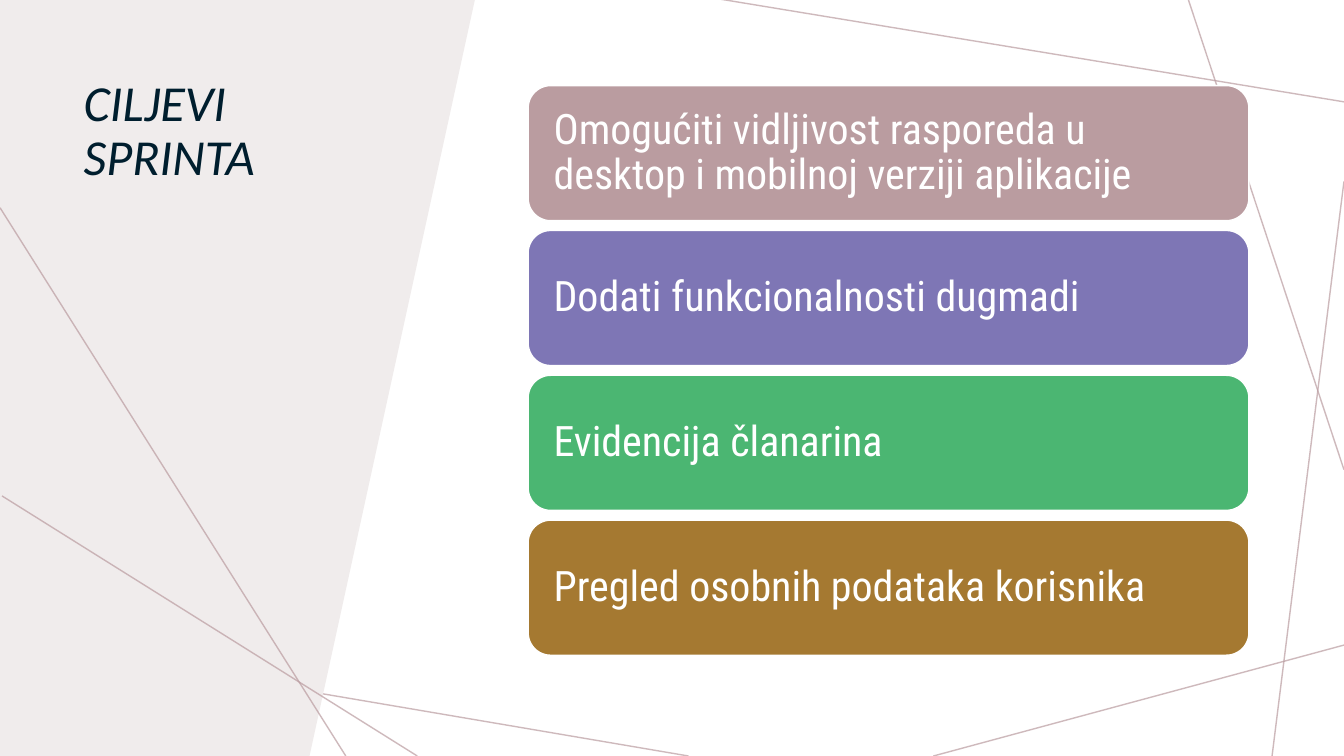
from dataclasses import dataclass

from lxml.etree import SubElement
from pptx import Presentation
from pptx.dml.color import RGBColor
from pptx.enum.shapes import MSO_CONNECTOR, MSO_SHAPE
from pptx.enum.text import MSO_ANCHOR, PP_ALIGN
from pptx.oxml.ns import qn
from pptx.util import Inches, Pt

SLIDE_WIDTH = Inches(13.333)
SLIDE_HEIGHT = Inches(7.5)


@dataclass(frozen=True)
class Theme:
    """Colours, fonts and sizes of the slide."""

    panel: str = "F0ECEC"
    accent: str = "BA9CA0"
    title: str = "001E2E"
    light: str = "FFFFFF"
    title_font: str = "Calibri"
    card_font: str = "Roboto Condensed"
    title_size: int = 36
    card_size: int = 30
    line_width: int = 1
    line_opacity: int = 70


THEME = Theme()

LINES_BEHIND_PANEL = [
    ((51.23, 100), (-0.38, 84.4)),
    ((100, 85.33), (69.45, 100)),
    ((100, 24), (94.65, 100)),
    ((100, 62.13), (88.43, 0)),
    ((100, 13.47), (53.55, -0.13)),
]
LINES_OVER_PANEL = [
    ((31.05, 100), (0.15, 65.6)),
    ((0, 27.47), (25.73, 100)),
]
PANEL_CORNERS = [(23.03, 100), (0, 100), (0, 0), (35.33, 0)]
TITLE_BOX = (5.48, 9.6, 24.3, 42.53)
CARD_LEFT, CARD_TOP, CARD_WIDTH, CARD_HEIGHT = 39.3, 11.33, 53.63, 17.87
CARD_PITCH = 19.16
CARD_INSET = 1.4
GOALS = [
    ("Omogućiti vidljivost rasporeda u desktop i mobilnoj verziji aplikacije", THEME.accent),
    ("Dodati funkcionalnosti dugmadi", "7E76B5"),
    ("Evidencija članarina", "4BB672"),
    ("Pregled osobnih podataka korisnika", "A57931"),
]


def across(percent):
    """Return a percentage of the slide width."""
    return round(SLIDE_WIDTH * percent / 100)


def down(percent):
    """Return a percentage of the slide height."""
    return round(SLIDE_HEIGHT * percent / 100)


def place(left, top, width, height):
    """Turn a box in percentages into slide lengths."""
    return across(left), down(top), across(width), down(height)


def paint(shape, color):
    """Give a shape a solid fill and no shadow."""
    shape.shadow.inherit = False
    shape.fill.solid()
    shape.fill.fore_color.rgb = RGBColor.from_string(color)


def write(text_frame, text, font_name, size, color, italic=False):
    """Write one wrapped, left-aligned paragraph."""
    text_frame.word_wrap = True
    paragraph = text_frame.paragraphs[0]
    paragraph.alignment = PP_ALIGN.LEFT
    paragraph.line_spacing = 0.9
    run = paragraph.add_run()
    run.text = text
    run.font.name = font_name
    run.font.size = Pt(size)
    run.font.italic = italic
    run.font.color.rgb = RGBColor.from_string(color)


def add_line(slide, start, end):
    """Draw a thin translucent line between two points."""
    connector = slide.shapes.add_connector(
        MSO_CONNECTOR.STRAIGHT,
        across(start[0]), down(start[1]), across(end[0]), down(end[1]),
    )
    connector.line.width = Pt(THEME.line_width)
    connector.line.color.rgb = RGBColor.from_string(THEME.accent)
    properties = connector._element.spPr
    color = properties.find(".//" + qn("a:srgbClr"))
    SubElement(color, qn("a:alpha"), val=str(THEME.line_opacity * 1000))
    SubElement(properties, qn("a:effectLst"))


def add_panel(slide):
    """Draw the slanted panel on the left."""
    first, *others = [(across(x), down(y)) for x, y in PANEL_CORNERS]
    builder = slide.shapes.build_freeform(*first)
    builder.add_line_segments(others, close=True)
    panel = builder.convert_to_shape()
    paint(panel, THEME.panel)
    panel.line.fill.background()


def add_title(slide, text):
    """Write the slide title on the panel."""
    box = slide.shapes.add_textbox(*place(*TITLE_BOX))
    write(box.text_frame, text, THEME.title_font, THEME.title_size, THEME.title, italic=True)


def add_card(slide, row, text, color):
    """Draw the goal card of one row."""
    top = CARD_TOP + row * CARD_PITCH
    card = slide.shapes.add_shape(
        MSO_SHAPE.ROUNDED_RECTANGLE, *place(CARD_LEFT, top, CARD_WIDTH, CARD_HEIGHT)
    )
    paint(card, color)
    card.line.color.rgb = RGBColor.from_string(THEME.light)
    card.line.width = Pt(THEME.line_width)
    frame = card.text_frame
    frame.vertical_anchor = MSO_ANCHOR.MIDDLE
    frame.margin_left = frame.margin_right = across(CARD_INSET)
    write(frame, text, THEME.card_font, THEME.card_size, THEME.light)


def main():
    """Build the slide and save it."""
    presentation = Presentation()
    presentation.slide_width = SLIDE_WIDTH
    presentation.slide_height = SLIDE_HEIGHT
    slide = presentation.slides.add_slide(presentation.slide_layouts[6])
    for start, end in LINES_BEHIND_PANEL:
        add_line(slide, start, end)
    add_panel(slide)
    add_title(slide, "CILJEVI SPRINTA")
    for start, end in LINES_OVER_PANEL:
        add_line(slide, start, end)
    for row, (text, color) in enumerate(GOALS):
        add_card(slide, row, text, color)
    presentation.save("out.pptx")


main()
